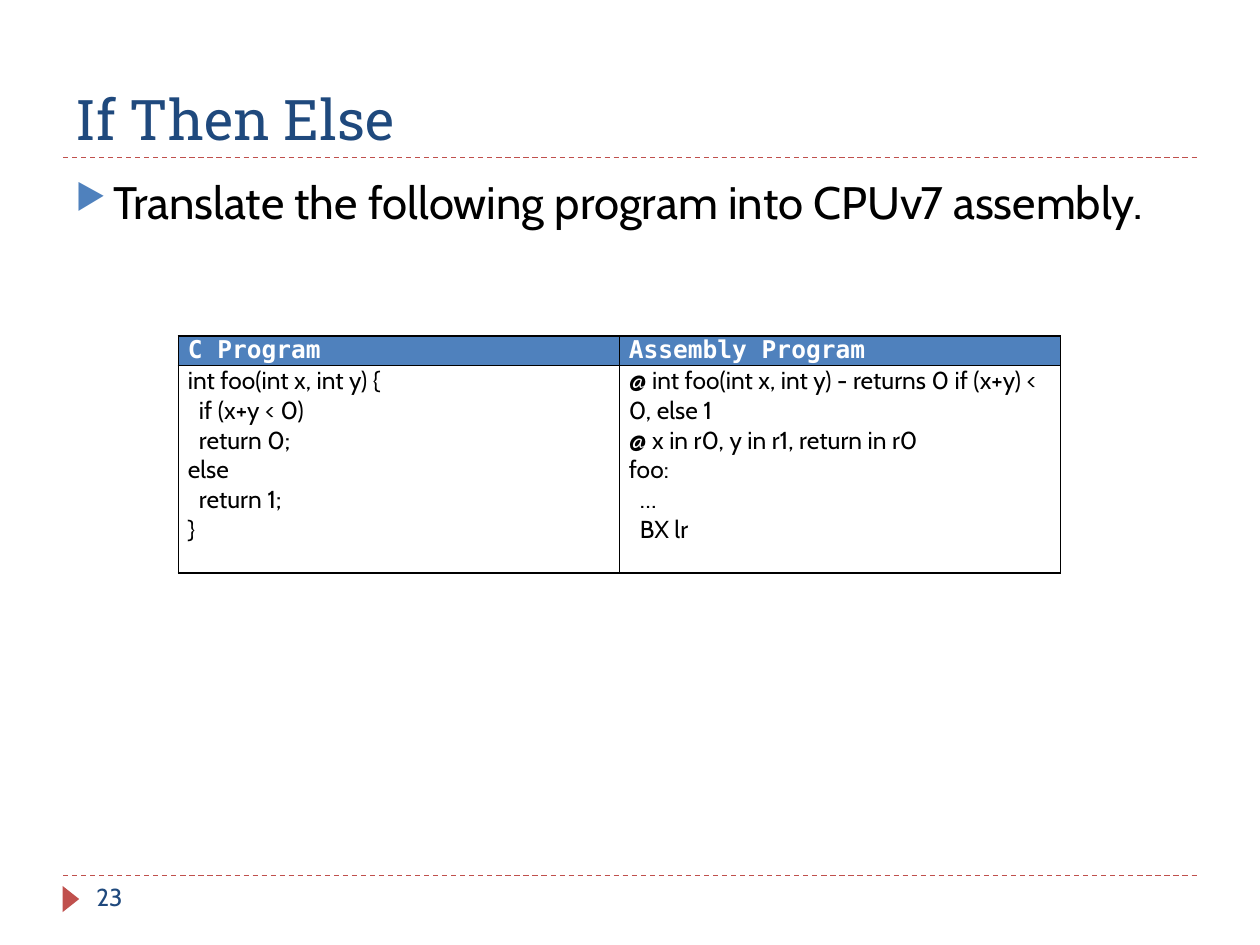
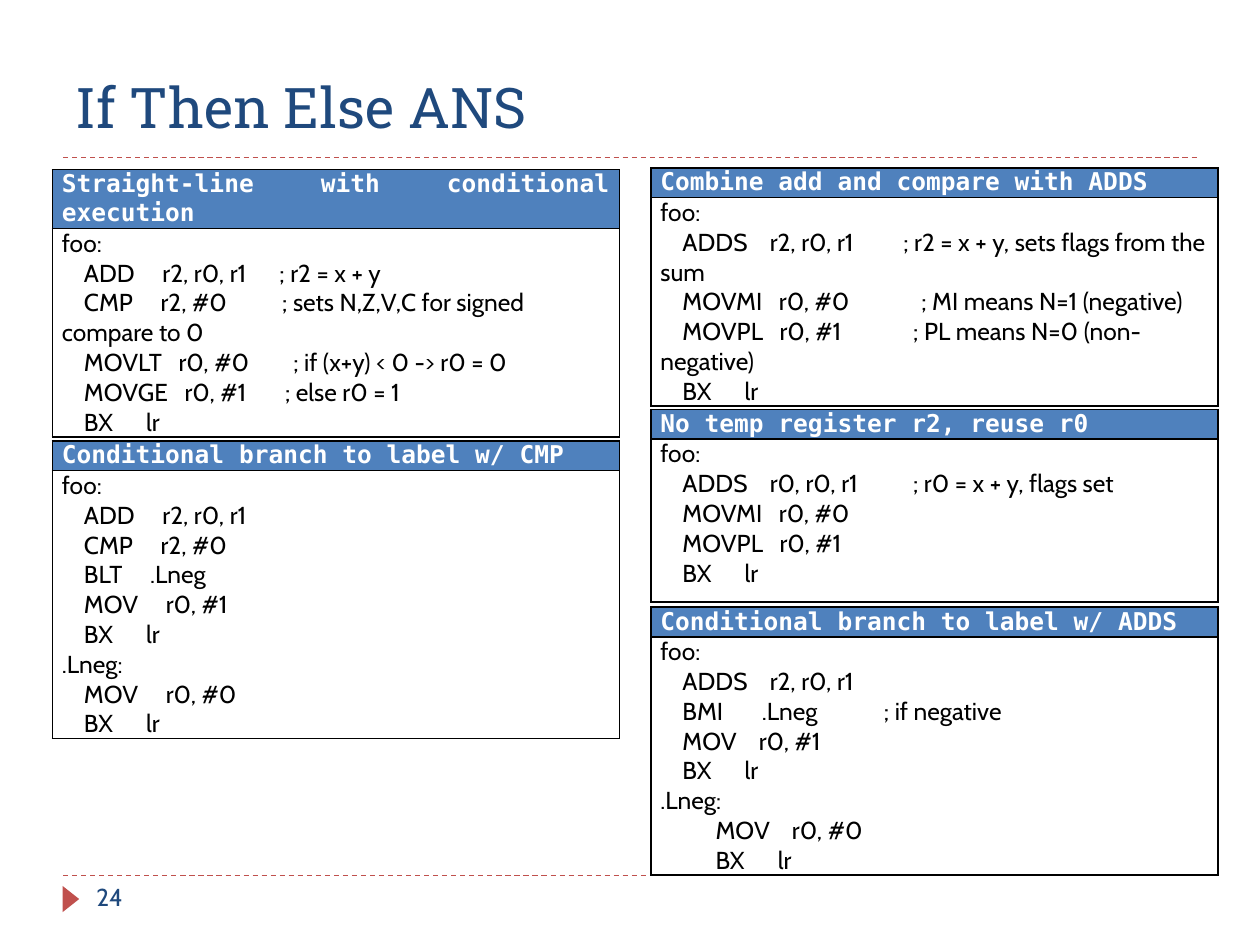
"""Build two slides that translate an if/else C function into CPUv7 assembly."""
import pptx
import pptx.dml.color
import pptx.enum.dml
import pptx.enum.shapes
import pptx.enum.text
import pptx.oxml
import pptx.oxml.ns
import pptx.util

Pt = pptx.util.Pt
ALIGN = pptx.enum.text.PP_ALIGN
ANCHOR = pptx.enum.text.MSO_ANCHOR
COLORS = {
    "title": "1F497D",
    "accent": "C0504D",
    "header": "4F81BD",
    "code": "000000",
    "light": "FFFFFF",
}
STYLES = {
    "title": {"name": "Roboto Slab", "size": Pt(32), "bold": False},
    "number": {"name": "Cabin", "size": Pt(14), "bold": False},
    "prompt": {"name": "Cabin", "size": Pt(26), "bold": False},
    "header": {"name": "DejaVu Sans Mono", "size": Pt(14), "bold": True},
    "code": {"name": "Cabin", "size": Pt(14), "bold": False},
}
CELL_MARGINS = {
    "margin_left": Pt(5.4),
    "margin_right": Pt(5.4),
    "margin_top": 0,
    "margin_bottom": 0,
}
HEADER_HEIGHT = 17
LEFT, RIGHT, LISTING_WIDTH = 30, 372, 324

C_PROGRAM = """int foo(int x, int y) {
  if (x+y < 0)
  return 0;
else
  return 1;
}"""
ASSEMBLY_PROGRAM = """@ int foo(int x, int y) - returns 0 if (x+y) < 0, else 1
@ x in r0, y in r1, return in r0
foo:
  …
  BX lr"""
STRAIGHT_LINE = """foo:
    ADD     r2, r0, r1      ; r2 = x + y
    CMP     r2, #0          ; sets N,Z,V,C for signed compare to 0
    MOVLT   r0, #0        ; if (x+y) < 0 -> r0 = 0
    MOVGE   r0, #1       ; else r0 = 1
    BX      lr"""
BRANCH_CMP = """foo:
    ADD     r2, r0, r1
    CMP     r2, #0
    BLT     .Lneg
    MOV     r0, #1
    BX      lr
.Lneg:
    MOV     r0, #0
    BX      lr"""
COMBINED_ADDS = """foo:
    ADDS    r2, r0, r1         ; r2 = x + y, sets flags from the sum
    MOVMI   r0, #0             ; MI means N=1 (negative)
    MOVPL   r0, #1             ; PL means N=0 (non-negative)
    BX      lr"""
REUSE_R0 = """foo:
    ADDS    r0, r0, r1          ; r0 = x + y, flags set
    MOVMI   r0, #0
    MOVPL   r0, #1
    BX      lr"""
BRANCH_ADDS = """foo:
    ADDS    r2, r0, r1
    BMI       .Lneg            ; if negative
    MOV    r0, #1
    BX      lr
.Lneg:
          MOV    r0, #0
          BX      lr"""

SLIDES = [
    {
        "title": "If Then Else",
        "title_bottom": 90,
        "number": "23",
        "prompt": "Translate the following program into CPUv7 assembly.",
        "listings": [
            (102, 192, 504, 118.5, {"C Program": C_PROGRAM, "Assembly Program": ASSEMBLY_PROGRAM}),
        ],
    },
    {
        "title": "If Then Else ANS",
        "title_bottom": 83.5,
        "number": "24",
        "prompt": None,
        "listings": [
            (LEFT, 97, LISTING_WIDTH, 119, {"Straight-line with conditional execution": STRAIGHT_LINE}),
            (LEFT, 252, LISTING_WIDTH, 153, {"Conditional branch to label w/ CMP": BRANCH_CMP}),
            (RIGHT, 96, LISTING_WIDTH, 119, {"Combine add and compare with ADDS": COMBINED_ADDS}),
            (RIGHT, 234, LISTING_WIDTH, 93, {"No temp register r2, reuse r0": REUSE_R0}),
            (RIGHT, 347, LISTING_WIDTH, 136, {"Conditional branch to label w/ ADDS": BRANCH_ADDS}),
        ],
    },
]


def write(frame, text, style, color, align=ALIGN.LEFT):
    """Fill a text frame with evenly styled paragraphs."""
    frame.text = text
    frame.word_wrap = True
    for paragraph in frame.paragraphs:
        paragraph.alignment = align
        for run in paragraph.runs:
            for attribute, value in STYLES[style].items():
                setattr(run.font, attribute, value)
            run.font.color.rgb = pptx.dml.color.RGBColor.from_string(COLORS[color])


def add_xml(parent, markup):
    """Append a drawing element written without its namespace."""
    namespace = pptx.oxml.ns.nsdecls("a")
    head, tail = markup.split(">", 1) if not markup.endswith("/>") else (markup[:-2], None)
    closing = "/>" if tail is None else ">" + tail
    parent.append(pptx.oxml.parse_xml(f"{head} {namespace}{closing}"))


deck = pptx.Presentation()
deck.slide_width, deck.slide_height = Pt(720), Pt(540)

for content in SLIDES:
    slide = deck.slides.add_slide(deck.slide_layouts[6])
    shapes = slide.shapes

    for rule_y in (500.5, 90):
        rule = shapes.add_connector(
            pptx.enum.shapes.MSO_CONNECTOR.STRAIGHT, Pt(36), Pt(rule_y), Pt(684), Pt(rule_y)
        )
        rule.line.color.rgb = pptx.dml.color.RGBColor.from_string(COLORS["accent"])
        rule.line.width = Pt(0.75)
        rule.line.dash_style = pptx.enum.dml.MSO_LINE.DASH
        add_xml(rule._element.spPr, "<a:effectLst/>")

    marker = shapes.add_shape(
        pptx.enum.shapes.MSO_SHAPE.ISOSCELES_TRIANGLE, Pt(33), Pt(509), Pt(15), Pt(9.5)
    )
    marker.rotation = 90
    marker.shadow.inherit = False
    marker.fill.solid()
    marker.fill.fore_color.rgb = pptx.dml.color.RGBColor.from_string(COLORS["accent"])
    marker.line.fill.background()

    title = shapes.add_textbox(Pt(36), Pt(12), Pt(648), Pt(content["title_bottom"] - 12))
    title.text_frame.vertical_anchor = ANCHOR.BOTTOM
    write(title.text_frame, content["title"], "title", "title")

    number = shapes.add_textbox(Pt(48), Pt(500.5), Pt(156), Pt(29))
    write(number.text_frame, content["number"], "number", "title")

    if content["prompt"]:
        prompt = shapes.add_textbox(Pt(36), Pt(96), Pt(648), Pt(389))
        write(prompt.text_frame, content["prompt"], "prompt", "code")
        properties = prompt.text_frame.paragraphs[0]._p.get_or_add_pPr()
        properties.set("marL", str(Pt(21.6)))
        properties.set("indent", str(-Pt(21.6)))
        add_xml(properties, f'<a:buClr><a:srgbClr val="{COLORS["header"]}"/></a:buClr>')
        add_xml(properties, '<a:buSzPct val="76000"/>')
        add_xml(properties, '<a:buChar char="▶"/>')

    for left, top, width, code_height, programs in content["listings"]:
        listing = shapes.add_table(
            2, len(programs), Pt(left), Pt(top), Pt(width), Pt(HEADER_HEIGHT + code_height)
        ).table
        listing.first_row = listing.horz_banding = False
        listing.rows[0].height = Pt(HEADER_HEIGHT)
        listing.rows[1].height = Pt(code_height)
        for column, (heading, code) in enumerate(programs.items()):
            header_cell, code_cell = listing.cell(0, column), listing.cell(1, column)
            for cell in (header_cell, code_cell):
                for attribute, value in CELL_MARGINS.items():
                    setattr(cell, attribute, value)
                for side in "LRTB":
                    add_xml(
                        cell._tc.get_or_add_tcPr(),
                        f'<a:ln{side} w="{Pt(1)}"><a:solidFill>'
                        f'<a:srgbClr val="{COLORS["code"]}"/></a:solidFill></a:ln{side}>',
                    )
            header_cell.fill.solid()
            header_cell.fill.fore_color.rgb = pptx.dml.color.RGBColor.from_string(COLORS["header"])
            code_cell.fill.background()
            write(header_cell.text_frame, heading, "header", "light", ALIGN.JUSTIFY)
            write(code_cell.text_frame, code, "code", "code")

deck.save("out.pptx")
